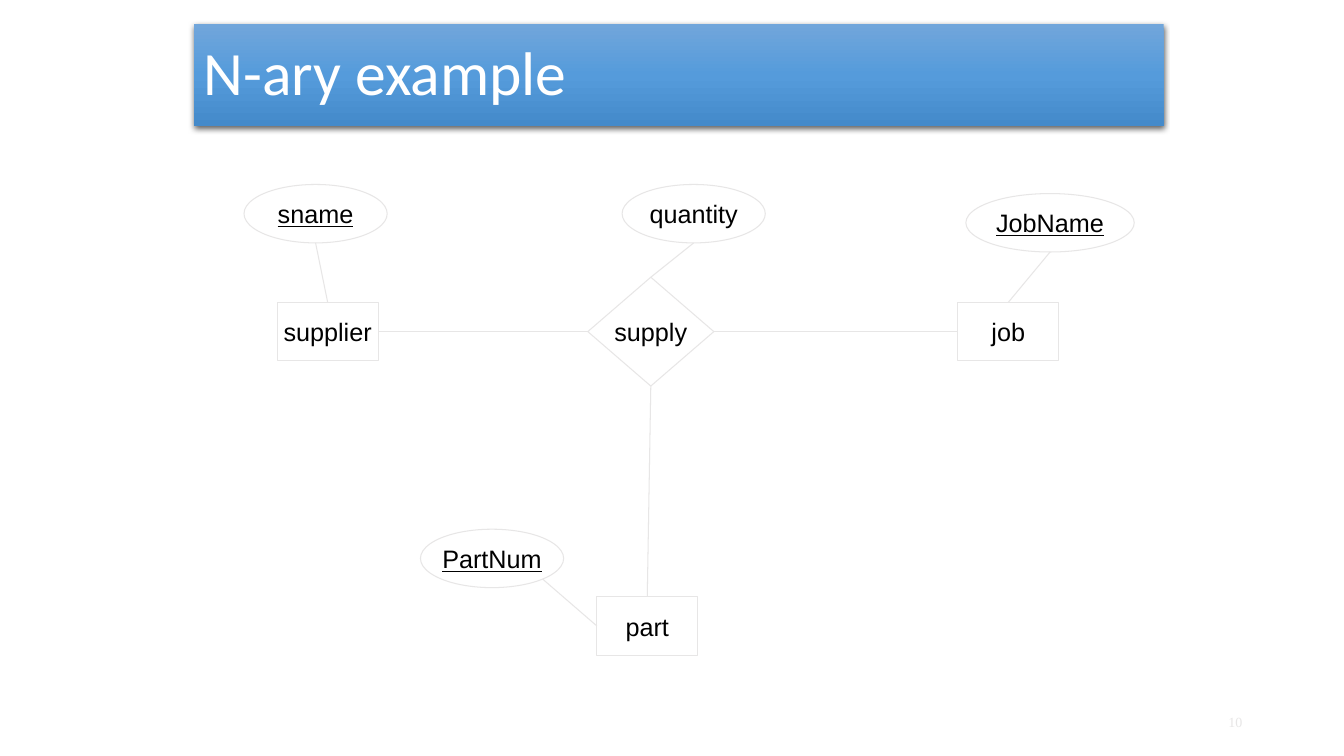
from dataclasses import dataclass

from lxml import etree
from pptx import Presentation
from pptx.dml.color import RGBColor
from pptx.enum.shapes import MSO_CONNECTOR, MSO_SHAPE
from pptx.enum.text import MSO_ANCHOR, PP_ALIGN
from pptx.oxml import parse_xml
from pptx.oxml.ns import nsdecls, qn
from pptx.util import Inches, Pt

RECTANGLE, DIAMOND, OVAL = MSO_SHAPE.RECTANGLE, MSO_SHAPE.DIAMOND, MSO_SHAPE.OVAL
STRAIGHT = MSO_CONNECTOR.STRAIGHT
MIDDLE = MSO_ANCHOR.MIDDLE
LEFT, CENTER, RIGHT = PP_ALIGN.LEFT, PP_ALIGN.CENTER, PP_ALIGN.RIGHT
TOP_SITE, LEFT_SITE, BOTTOM_SITE, RIGHT_SITE = range(4)
OVAL_BOTTOM, OVAL_BOTTOM_RIGHT = (0.5, 1), (0.854, 0.854)


@dataclass(frozen=True)
class Theme:
    """Colours, fonts and type sizes of the slide."""
    ink: str = "000000"
    outline: str = "E7E6E6"
    title_ink: str = "FFFFFF"
    banner: tuple = ((0, "71A6DB"), (50, "559BDB"), (100, "448ACA"))
    title_font: str = "Calibri"
    label_font: str = "Arial"
    number_font: str = "Times New Roman"
    title_size: int = 44
    label_size: int = 18
    number_size: int = 10
    line_width: float = 0.75


THEME = Theme()

NODES = {
    "supplier": (RECTANGLE, (2.75, 3, 1, 0.58)),
    "part": (RECTANGLE, (5.92, 5.92, 1, 0.58)),
    "job": (RECTANGLE, (9.5, 3, 1, 0.58)),
    "supply": (DIAMOND, (5.83, 2.75, 1.25, 1.08)),
    "sname": (OVAL, (2.42, 1.83, 1.42, 0.58)),
    "quantity": (OVAL, (6.17, 1.83, 1.42, 0.58)),
    "JobName": (OVAL, (9.58, 1.92, 1.67, 0.58)),
    "PartNum": (OVAL, (4.17, 5.25, 1.42, 0.58)),
}
KEYS = {"sname", "JobName", "PartNum"}
RELATIONS = [
    ("supplier", RIGHT_SITE, "supply", LEFT_SITE),
    ("supply", RIGHT_SITE, "job", LEFT_SITE),
    ("supply", BOTTOM_SITE, "part", TOP_SITE),
]
ATTRIBUTES = [
    ("supplier", TOP_SITE, "sname", OVAL_BOTTOM),
    ("supply", TOP_SITE, "quantity", OVAL_BOTTOM),
    ("job", TOP_SITE, "JobName", OVAL_BOTTOM),
    ("part", LEFT_SITE, "PartNum", OVAL_BOTTOM_RIGHT),
]


def set_font(paragraph, name, size, color, align):
    """Format a whole paragraph."""
    paragraph.alignment = align
    paragraph.font.name = name
    paragraph.font.size = Pt(size)
    paragraph.font.color.rgb = RGBColor.from_string(color)


def set_outline(line):
    """Give a shape or connector the thin diagram line."""
    line.color.rgb = RGBColor.from_string(THEME.outline)
    line.width = Pt(THEME.line_width)


def add_title(slide, box, text):
    """Place the title as a gradient banner with a soft shadow."""
    title = slide.shapes.title
    title.left, title.top, title.width, title.height = map(Inches, box)
    title.text = text
    title.text_frame.vertical_anchor = MIDDLE
    heading = title.text_frame.paragraphs[0]
    set_font(heading, THEME.title_font, THEME.title_size, THEME.title_ink, LEFT)
    heading.line_spacing = 0.9
    stops = "".join(
        f'<a:gs pos="{place * 1000}"><a:srgbClr val="{color}"/></a:gs>'
        for place, color in THEME.banner)
    properties = title._element.spPr
    etree.SubElement(properties, qn("a:prstGeom"), prst="rect")
    properties.append(parse_xml(
        f'<a:gradFill {nsdecls("a")}><a:gsLst>{stops}</a:gsLst>'
        '<a:lin ang="5400000" scaled="0"/></a:gradFill>'))
    properties.append(parse_xml(
        f'<a:effectLst {nsdecls("a")}>'
        f'<a:outerShdw blurRad="{Pt(4.5)}" dist="{Pt(1.5)}" dir="5400000" rotWithShape="0">'
        f'<a:srgbClr val="{THEME.ink}"><a:alpha val="63000"/></a:srgbClr>'
        '</a:outerShdw></a:effectLst>'))


def add_node(slide, kind, box, label):
    """Draw one entity, relationship or attribute with its label."""
    node = slide.shapes.add_shape(kind, *map(Inches, box))
    node.shadow.inherit = False
    node.fill.background()
    set_outline(node.line)
    frame = node.text_frame
    frame.text = label
    frame.word_wrap = False
    frame.vertical_anchor = MIDDLE
    name = frame.paragraphs[0]
    set_font(name, THEME.label_font, THEME.label_size, THEME.ink, CENTER)
    if label in KEYS:
        name.font.underline = True
    return node


def add_link(slide, start, start_site):
    """Draw a link attached to a site of its first node."""
    link = slide.shapes.add_connector(STRAIGHT, 0, 0, 0, 0)
    link.begin_connect(start, start_site)
    set_outline(link.line)
    etree.SubElement(link._element.spPr, qn("a:effectLst"))
    return link


def add_diagram(slide, origin):
    """Draw the entity-relationship diagram, shifted by the origin."""
    dx, dy = origin
    nodes = {
        label: add_node(slide, kind, (x + dx, y + dy, width, height), label)
        for label, (kind, (x, y, width, height)) in NODES.items()}
    for start, start_site, end, end_site in RELATIONS:
        add_link(slide, nodes[start], start_site).end_connect(nodes[end], end_site)
    for owner, owner_site, attribute, (across, down) in ATTRIBUTES:
        link = add_link(slide, nodes[owner], owner_site)
        oval = nodes[attribute]
        link.end_x = oval.left + round(oval.width * across)
        link.end_y = oval.top + round(oval.height * down)


def add_slide_number(slide, box, number):
    """Place the faint slide number."""
    frame = slide.shapes.add_textbox(*map(Inches, box)).text_frame
    frame.word_wrap = True
    frame.vertical_anchor = MIDDLE
    frame.text = number
    set_font(frame.paragraphs[0], THEME.number_font, THEME.number_size,
             THEME.outline, RIGHT)


def main():
    """Build and save the slide."""
    deck = Presentation()
    deck.slide_width, deck.slide_height = Inches(13.33), Inches(7.5)
    slide = deck.slides.add_slide(deck.slide_layouts[5])
    add_title(slide, (1.92, 0.24, 9.62, 1.01), "N-ary example")
    add_diagram(slide, (0, 0))
    add_slide_number(slide, (11.42, 6.96, 1, 0.4), "10")
    deck.save("out.pptx")


if __name__ == "__main__":
    main()
